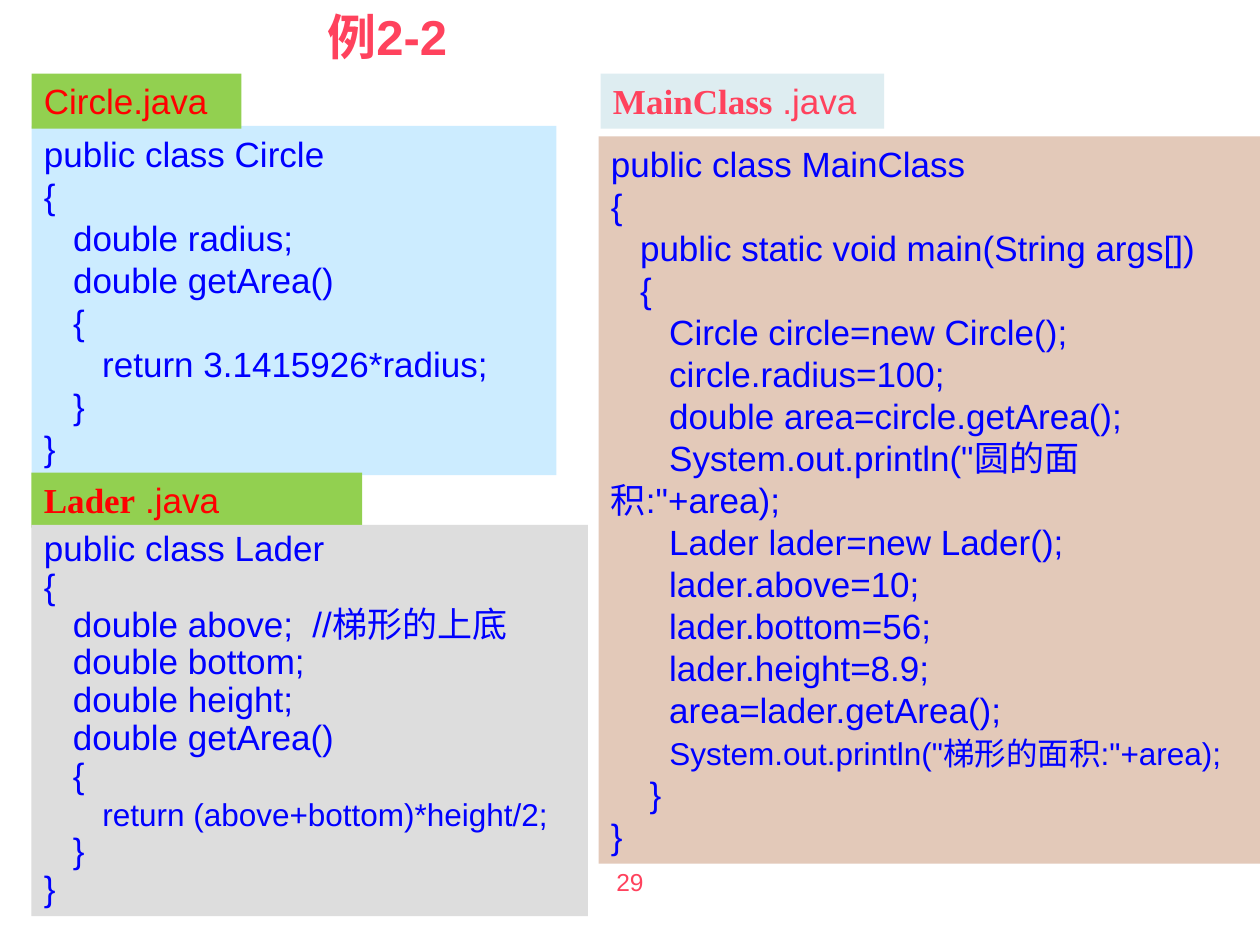
from dataclasses import dataclass
from typing import Optional

import pptx
import pptx.dml.color
import pptx.enum.shapes
import pptx.enum.text
import pptx.util

# Grid of 120 columns by 90 rows on a 10 by 7.5 inch slide
WIDE, HIGH = 10, 7.5
COLS, ROWS = 120, 90

BLUE, RED, ROSE = "0000FF", "FF0000", "FF425D"
GREEN = "92D050"
SANS, SERIF = "Arial", "Times New Roman"
ALIGN = pptx.enum.text.PP_ALIGN


@dataclass
class Run:
    text: str
    color: str
    size: float = 20
    font: str = SANS
    bold: bool = False


@dataclass
class Panel:
    col: float
    row: float
    cols: float
    rows: float
    lines: list[list[Run]]
    fill: Optional[str] = None
    space: Optional[float] = None
    align: ALIGN = ALIGN.LEFT


def paint(color: str) -> pptx.dml.color.RGBColor:
    return pptx.dml.color.RGBColor.from_string(color)


def code(source: str, small: str = "") -> list[list[Run]]:
    """One paragraph per line; the small statement is set at 18 points."""
    lines = []
    for line in source.strip().split("\n"):
        body = line.lstrip()
        if body == small:
            indent = line[:len(line) - len(body)]
            lines.append([Run(indent, BLUE), Run(body, BLUE, 18)])
        else:
            lines.append([Run(line, BLUE)])
    return lines


def label(name: str, color: str) -> list[list[Run]]:
    return [[Run(name, color, font=SERIF, bold=True), Run(" .java", color)]]


def draw(slide, panel: Panel) -> None:
    x, w = (pptx.util.Inches(n * WIDE / COLS) for n in (panel.col, panel.cols))
    y, h = (pptx.util.Inches(n * HIGH / ROWS) for n in (panel.row, panel.rows))
    if panel.fill:
        shape = slide.shapes.add_shape(
            pptx.enum.shapes.MSO_SHAPE.RECTANGLE, x, y, w, h)
        shape.shadow.inherit = False
        shape.fill.solid()
        shape.fill.fore_color.rgb = paint(panel.fill)
        shape.line.fill.background()
    else:
        shape = slide.shapes.add_textbox(x, y, w, h)
    frame = shape.text_frame
    frame.word_wrap = True
    frame.vertical_anchor = pptx.enum.text.MSO_ANCHOR.TOP
    if panel.fill:
        frame.auto_size = pptx.enum.text.MSO_AUTO_SIZE.SHAPE_TO_FIT_TEXT
    for i, line in enumerate(panel.lines):
        para = frame.add_paragraph() if i else frame.paragraphs[0]
        para.alignment = panel.align
        if panel.space:
            para.line_spacing = panel.space
        for part in line:
            run = para.add_run()
            run.text = part.text
            run.font.name = part.font
            run.font.size = pptx.util.Pt(part.size)
            run.font.bold = part.bold
            run.font.color.rgb = paint(part.color)


CIRCLE = """
public class Circle
{
   double radius;
   double getArea()
   {
      return 3.1415926*radius;
   }
}
"""

LADER = """
public class Lader
{
   double above;  //梯形的上底
   double bottom;
   double height;
   double getArea()
   {
      return (above+bottom)*height/2;
   }
}
"""

MAIN = """
public class MainClass
{
   public static void main(String args[])
   {
      Circle circle=new Circle();
      circle.radius=100;
      double area=circle.getArea();
      System.out.println("圆的面积:"+area);
      Lader lader=new Lader();
      lader.above=10;
      lader.bottom=56;
      lader.height=8.9;
      area=lader.getArea();
      System.out.println("梯形的面积:"+area);
    }
}
"""

PANELS = [
    # Page number and title
    Panel(41, 82, 38, 6.25, [[Run("29", ROSE, 14)]], align=ALIGN.CENTER),
    Panel(30, 0, 20, 6, [[Run("例2-2", ROSE, 28, bold=True)]]),
    # Left column: Circle, then Lader
    Panel(3, 12, 50, 33.25, code(CIRCLE), "CCECFF"),
    Panel(3, 7, 20, 5.25, [[Run("Circle.java", RED)]], GREEN),
    Panel(3, 45, 31.5, 5.25, label("Lader", RED), GREEN),
    Panel(3, 50, 53, 37.25,
          code(LADER, "return (above+bottom)*height/2;"), "DDDDDD", 0.9),
    # Right column: MainClass
    Panel(57.2, 7, 27, 5.25, label("MainClass", ROSE), "DEEDF1"),
    Panel(57, 13, 63, 69.25,
          code(MAIN, 'System.out.println("梯形的面积:"+area);'), "E3C9B9"),
]


def main() -> None:
    deck = pptx.Presentation()
    deck.slide_width = pptx.util.Inches(WIDE)
    deck.slide_height = pptx.util.Inches(HIGH)
    slide = deck.slides.add_slide(deck.slide_layouts[6])
    for panel in PANELS:
        draw(slide, panel)
    deck.save("out.pptx")


if __name__ == "__main__":
    main()
